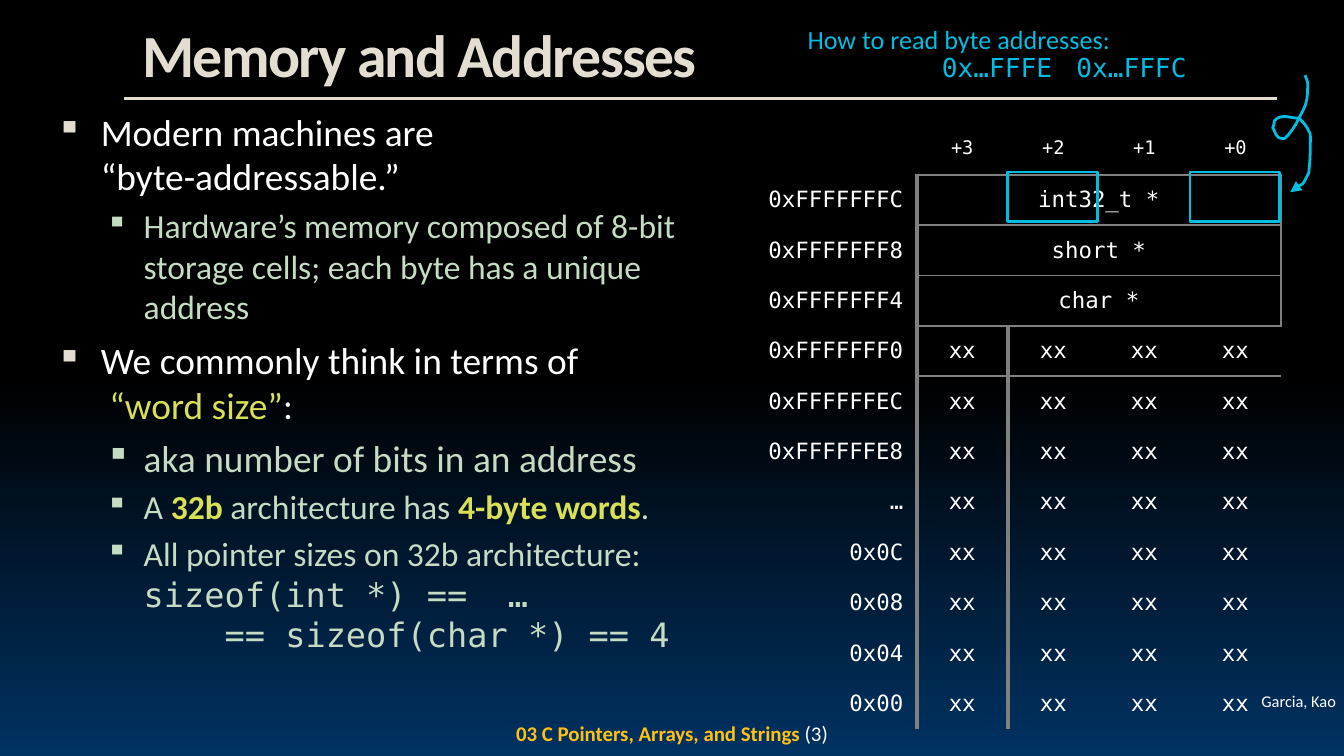
from dataclasses import dataclass
from copy import deepcopy

import pptx
import pptx.util
import pptx.dml.color
import pptx.enum.shapes
import pptx.enum.text
import pptx.oxml
import pptx.oxml.ns

Pt = pptx.util.Pt
RGB = pptx.dml.color.RGBColor.from_string
Align = pptx.enum.text.PP_ALIGN
Anchor = pptx.enum.text.MSO_ANCHOR
qn = pptx.oxml.ns.qn
NS = pptx.oxml.ns.nsdecls("a")


@dataclass(frozen=True)
class Theme:
    black: str = "000000"
    navy: str = "003262"
    white: str = "FFFFFF"
    sand: str = "E4DDD2"
    rule: str = "E5DCD1"
    green: str = "C5DBC3"
    lime: str = "D9E056"
    gold: str = "FFC115"
    cyan: str = "00BDE2"
    gray: str = "808080"
    sans: str = "Calibri"
    mono: str = "DejaVu Sans Mono"
    title: float = 32
    main: float = 20
    sub: float = 18
    note: float = 14
    cell: float = 12
    head: float = 10
    foot: float = 11.2
    name: float = 8.8


T = Theme()

ADDRS = ["0xFFFFFFFC", "0xFFFFFFF8", "0xFFFFFFF4", "0xFFFFFFF0", "0xFFFFFFEC",
         "0xFFFFFFE8", "…", "0x0C", "0x08", "0x04", "0x00"]
TYPES = ["int32_t *", "short *", "char *"]
GRID_X, GRID_Y, LABEL_W, BYTE_W, ROW_H = 403.9, 64.8, 87.2, 48.8, 27

# Start point, then three points (two controls and an end) for each curve
SWIRL = [
    (699.1, 40.3),
    (699.8, 41.8), (700.6, 43.9), (700.6, 45.4),
    (700.6, 56.2), (699.1, 56.9), (694.8, 65.5),
    (694.1, 67), (693.4, 67.7), (692.6, 69.1),
    (689.8, 72.7), (691.2, 71.3), (688.3, 74.2),
    (686.9, 74.2), (685.4, 74.2), (684.7, 73.4),
    (683.3, 72.7), (682.6, 69.1), (681.8, 68.4),
    (682.6, 67), (682.6, 66.2), (682.6, 64.8),
    (686.2, 60.5), (691.2, 63.4), (696.2, 63.4),
    (698.4, 66.2), (699.8, 67), (701.3, 70.6),
    (702, 71.3), (702, 72.7), (702, 73.4),
    (702, 79.2), (702, 85), (701.3, 90.7),
    (701.3, 91.4), (701.3, 92.9), (700.6, 93.6),
    (699.8, 95), (699.1, 97.2), (697.7, 98.6),
    (692.6, 101.5), (694.1, 100.1), (691.2, 103),
]


def xml(text):
    return pptx.oxml.parse_xml(text.replace(">", f" {NS}>", 1) if "/>" not in text[:text.index(">") + 1]
                               else text.replace("/>", f" {NS}/>", 1))


def style(run, size, color, face=T.sans, bold=False):
    font = run.font
    font.size, font.name, font.bold = Pt(size), face, bold
    font.color.rgb = RGB(color)


def write(par, parts):
    """Add (text, size, color, face, bold) parts; a newline breaks the line."""
    for text, *look in parts:
        for i, line in enumerate(text.split("\n")):
            if i:
                par.add_line_break()
            if line:
                run = par.add_run()
                run.text = line
                style(run, *look)


def box(slide, x, y, w, h, inset=(7.2, 3.6), anchor=Anchor.TOP):
    frame = slide.shapes.add_textbox(Pt(x), Pt(y), Pt(w), Pt(h)).text_frame
    frame.word_wrap, frame.vertical_anchor = True, anchor
    frame.margin_left = frame.margin_right = Pt(inset[0])
    frame.margin_top = frame.margin_bottom = Pt(inset[1])
    return frame


def backdrop(slide):
    fill = slide.background.fill
    fill.gradient()
    fill.gradient_angle = 270
    stops = slide.element.find(".//" + qn("a:gsLst"))
    stops.insert(1, deepcopy(stops[0]))
    for stop, pos, color in zip(fill.gradient_stops, (0, 0.5, 1), (T.black, T.black, T.navy)):
        stop.position = pos
        stop.color.rgb = RGB(color)


def bullet(par, level, size):
    left, hang, scale = ((28.8, 23.8, 95), (51.8, 20.2, 90))[level]
    par.level = level
    props = par._p.get_or_add_pPr()
    props.set("marL", str(Pt(left)))
    props.set("indent", str(-Pt(hang)))
    color = (T.sand, T.green)[level]
    props.append(xml(f'<a:buClr><a:srgbClr val="{color}"/></a:buClr>'))
    props.append(xml(f'<a:buSzPct val="{scale * 1000}"/>'))
    props.append(xml('<a:buChar char="▪"/>'))
    par.space_before = Pt(size * 0.2 if level else 6.2)


def body(slide):
    big, small = (T.main, T.white), (T.sub, T.green)
    word = (T.sub, T.lime, T.sans, True)
    items = [
        (0, [("Modern machines are\n“byte-addressable.”", *big)]),
        (1, [("Hardware’s memory composed of 8-bit storage cells; each byte has a unique address", *small)]),
        (0, [("We commonly think in terms of\n ", *big), ("“word size”", T.main, T.lime), (":", *big)]),
        (1, [("aka number of bits in an address", T.main, T.green)]),
        (1, [("A ", *small), ("32b", *word), (" architecture has ", *small),
             ("4-byte words", *word), (".", *small)]),
        (1, [("All pointer sizes on 32b architecture:\n", *small),
             ("sizeof(int *) ==  …\n    == sizeof(char *) == 4", *small, T.mono)]),
    ]
    frame = box(slide, 15.1, 53.3, 375.1, 316.8, (10.1, 5))
    for i, (level, parts) in enumerate(items):
        par = frame.paragraphs[0] if i == 0 else frame.add_paragraph()
        bullet(par, level, parts[0][1])
        if i == 0:
            par.space_before = Pt(0)
        write(par, parts)


def border(cell, **sides):
    props = cell._tc.get_or_add_tcPr()
    for i, side in enumerate(s for s in "LRTB" if s in sides):
        props.insert(i, xml(f'<a:ln{side} w="{Pt(sides[side])}"><a:solidFill>'
                            f'<a:srgbClr val="{T.gray}"/></a:solidFill></a:ln{side}>'))


def put(cell, text, size=T.cell, align=Align.CENTER):
    cell.vertical_anchor = Anchor.MIDDLE
    par = cell.text_frame.paragraphs[0]
    par.text, par.alignment = text, align
    style(par.runs[0], size, T.white, T.mono)


def memory(slide):
    count = len(ADDRS) + 1
    table = slide.shapes.add_table(count, 5, Pt(GRID_X), Pt(GRID_Y),
                                   Pt(LABEL_W + 4 * BYTE_W), Pt(count * ROW_H)).table
    table.first_row = table.horz_banding = False
    plain = "{2D5ABB26-0587-4C30-8999-92F81FD0307C}"
    table._tbl.tblPr.find(qn("a:tableStyleId")).text = plain
    for i, col in enumerate(table.columns):
        col.width = Pt(BYTE_W if i else LABEL_W)
    for row in table.rows:
        row.height = Pt(ROW_H)
    for cell in table.iter_cells():
        cell.fill.background()
    for c in range(1, 5):
        put(table.cell(0, c), f"+{4 - c}", T.head)
        border(table.cell(0, c), B=1)
    for r, addr in enumerate(ADDRS, 1):
        put(table.cell(r, 0), addr, align=Align.RIGHT)
        border(table.cell(r, 0), R=2.25)
        if r <= len(TYPES):
            first = table.cell(r, 1)
            first.merge(table.cell(r, 4))
            put(first, TYPES[r - 1])
            border(first, L=2.25, R=1, T=1, B=1)
            continue
        for c in range(1, 5):
            put(table.cell(r, c), "xx")
            sides = {"L": 2.25, "R": 2.25} if c == 1 else {}
            if r == len(TYPES) + 1:
                sides.update(T=1, B=1)
            border(table.cell(r, c), **sides)


def outline(shape):
    shape.shadow.inherit = False
    shape.fill.background()
    shape.line.color.rgb = RGB(T.cyan)
    shape.line.width = Pt(1.5)


def mark(slide, col):
    """Frame one byte of the first memory row."""
    x = GRID_X + LABEL_W + col * BYTE_W
    outline(slide.shapes.add_shape(pptx.enum.shapes.MSO_SHAPE.RECTANGLE,
                                   Pt(x), Pt(92.2), Pt(48.2), Pt(26.6)))


def swirl(slide, steps=6):
    dots = []
    for i in range(0, len(SWIRL) - 1, 3):
        for n in range(1, steps + 1):
            t = n / steps
            mix = ((1 - t) ** 3, 3 * t * (1 - t) ** 2, 3 * t * t * (1 - t), t ** 3)
            dots.append(tuple(Pt(sum(m * p[k] for m, p in zip(mix, SWIRL[i:i + 4]))) for k in (0, 1)))
    pen = slide.shapes.build_freeform(Pt(SWIRL[0][0]), Pt(SWIRL[0][1]))
    pen.add_line_segments(dots, close=False)
    shape = pen.convert_to_shape()
    outline(shape)
    shape.line._get_or_add_ln().append(xml('<a:tailEnd type="triangle"/>'))


def rule(slide):
    line = slide.shapes.add_connector(pptx.enum.shapes.MSO_CONNECTOR.STRAIGHT,
                                      Pt(66.2), Pt(52.6), Pt(684), Pt(52.6))
    line.line.color.rgb = RGB(T.rule)
    line.line.width = Pt(1.5)
    line._element.spPr.append(xml("<a:effectLst/>"))


def title(slide):
    par = box(slide, 66.2, 4.3, 620, 44.6, (10.1, 5)).paragraphs[0]
    write(par, [("Memory and Addresses", T.title, T.sand, T.sans, True)])
    par.runs[0].font._element.set("spc", "-90")


def guide(slide):
    frame = box(slide, 425.5, 10.8, 282.2, 38.2)
    look = (T.note, T.cyan)
    lines = [[("How to read byte addresses:", *look)],
             [("\t", *look), ("0x…FFFE\t0x…FFFC", *look, T.mono)]]
    for par, parts in zip((frame.paragraphs[0], frame.add_paragraph()), lines):
        stops = "".join(f'<a:tab pos="{Pt(x)}" algn="l"/>' for x in (72, 144))
        par._p.get_or_add_pPr().append(xml(f"<a:tabLst>{stops}</a:tabLst>"))
        par.line_spacing = 0.9
        write(par, parts)


def footer(slide):
    par = box(slide, 132.5, 384.5, 455, 17.3, (4.3, 1.4)).paragraphs[0]
    par.alignment = Align.CENTER
    write(par, [("03 C Pointers, Arrays, and Strings ", T.foot, T.gold, T.sans, True),
                ("(3)", T.foot, T.white)])
    par = box(slide, 642.2, 367.9, 77.8, 14.4, (4.3, 1.4), Anchor.BOTTOM).paragraphs[0]
    par.alignment = Align.RIGHT
    write(par, [("Garcia, Kao", T.name, T.white)])


def main():
    deck = pptx.Presentation()
    deck.slide_width, deck.slide_height = Pt(720), Pt(405)
    slide = deck.slides.add_slide(deck.slide_layouts[6])
    for draw in (backdrop, footer, rule, body, title, memory, guide):
        draw(slide)
    for col in (1, 3):
        mark(slide, col)
    swirl(slide)
    deck.save("out.pptx")


if __name__ == "__main__":
    main()
